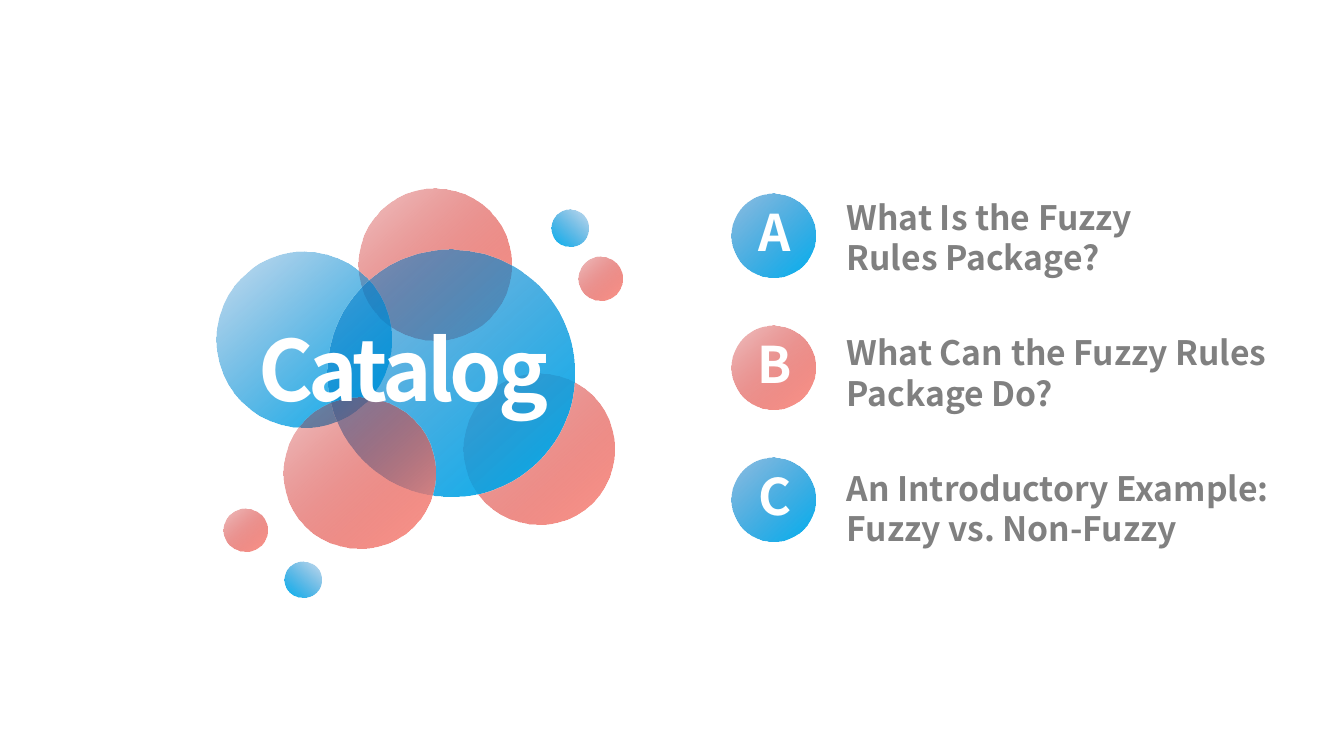
from lxml.etree import SubElement
from pptx import Presentation
from pptx.dml.color import RGBColor
from pptx.enum.shapes import MSO_SHAPE
from pptx.enum.text import MSO_ANCHOR, MSO_AUTO_SIZE, PP_ALIGN
from pptx.oxml.ns import qn
from pptx.util import Pt

FONT = "Noto Sans CJK SC"
COLORS = {"white": "FFFFFF", "grey": "808080"}
GRADIENTS = {
    "blue": ("0070C0", "00B0F0"),
    "red": ("C00000", "FE978C"),
}
# left, top, diameter, gradient, opacity of the first stop, gradient angle
BUBBLES = [
    (256.3, 134.6, 108.7, "red", 22, 48),
    (330.9, 266.5, 108.2, "red", 22, 48),
    (154.5, 179.9, 125.4, "blue", 22, 48),
    (234, 178.4, 176, "blue", 44, 48),
    (394, 149.6, 26.1, "blue", 22, 132),
    (413.5, 183.6, 31, "red", 22, 48),
    (202.6, 283.7, 108.2, "red", 22, 48),
    (203.2, 401, 26.1, "blue", 22, 132),
    (159.8, 363, 31, "red", 22, 48),
]
ENTRIES = [
    ("A", "What Is the Fuzzy Rules Package?", "blue", 44, 247),
    ("B", "What Can the Fuzzy Rules Package Do?", "red", 22, 312.5),
    ("C", "An Introductory Example: Fuzzy vs. Non-Fuzzy", "blue", 44, 312.5),
]


def add_bubble(page, left, top, size, gradient, opacity, angle=48):
    """Draw a circle that fades in along a clockwise angle."""
    bubble = page.shapes.add_shape(
        MSO_SHAPE.OVAL, Pt(left), Pt(top), Pt(size), Pt(size))
    bubble.shadow.inherit = False
    bubble.line.fill.background()
    bubble.fill.gradient()
    bubble.fill.gradient_angle = 360 - angle
    for stop, color in zip(bubble.fill.gradient_stops, GRADIENTS[gradient]):
        stop.color.rgb = RGBColor.from_string(color)
    first_color = bubble._element.find(".//" + qn("a:srgbClr"))
    SubElement(first_color, qn("a:alpha"), val=str(opacity * 1000))


def write_text(shape, text, size, color, align=PP_ALIGN.LEFT, spacing=0, inset=7.2):
    frame = shape.text_frame
    frame_format = {
        "word_wrap": True, "auto_size": MSO_AUTO_SIZE.NONE,
        "vertical_anchor": MSO_ANCHOR.TOP, "margin_left": Pt(inset),
        "margin_right": Pt(7.2), "margin_top": Pt(3.6), "margin_bottom": Pt(3.6),
    }
    for name, value in frame_format.items():
        setattr(frame, name, value)
    para = frame.paragraphs[0]
    para.alignment = align
    span = para.add_run()
    span.text = text
    for name, value in {"name": FONT, "size": Pt(size), "bold": True}.items():
        setattr(span.font, name, value)
    span.font.color.rgb = RGBColor.from_string(COLORS[color])
    properties = span.font._element
    SubElement(properties, qn("a:ea"), typeface=FONT)
    if spacing:
        properties.set("spc", str(spacing * 100))


def add_text(page, left, top, width, height, *args, **kwargs):
    box = page.shapes.add_textbox(Pt(left), Pt(top), Pt(width), Pt(height))
    write_text(box, *args, **kwargs)


def add_title_cluster(page, left, top):
    for x, y, *look in BUBBLES:
        add_bubble(page, left + x - 154.5, top + y - 134.6, *look)
    title = page.shapes.title
    place = {"left": left + 16.1, "top": top + 88.6, "width": 234.7, "height": 79.9}
    for name, value in place.items():
        setattr(title, name, Pt(value))
    write_text(title, "Catalog", 60, "white", PP_ALIGN.CENTER, -3)
    page.shapes._spTree.append(title._element)  # in front of the bubbles


def add_entries(page, left, top):
    for row, (letter, text, gradient, opacity, width) in enumerate(ENTRIES):
        badge_top = top + row * 94.3
        add_bubble(page, left, badge_top, 59.6, gradient, opacity)
        add_text(page, left - 16.6, badge_top + 2, 94.3, 51.1,
                 letter, 36, "white", PP_ALIGN.CENTER, -3)
        add_text(page, left + 82, top - 1.5 + row * 96.8, width, 65.5,
                 text, 24, "grey", inset=0)


def main():
    deck = Presentation()
    deck.slide_width, deck.slide_height = Pt(960), Pt(540)
    page = deck.slides.add_slide(deck.slide_layouts[5])
    add_title_cluster(page, 154.5, 134.6)
    add_entries(page, 522.8, 138.4)
    deck.save("out.pptx")


if __name__ == "__main__":
    main()
